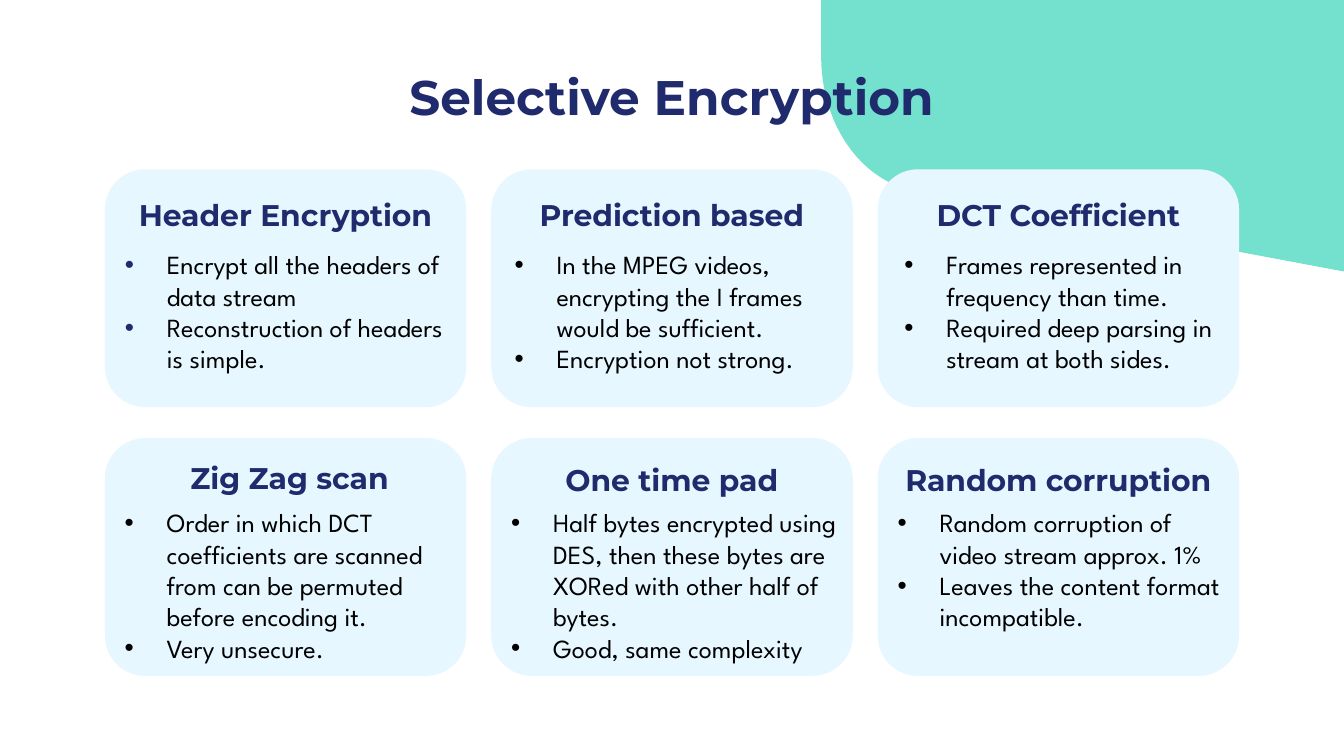
from dataclasses import dataclass

from lxml.etree import SubElement
from pptx import Presentation
from pptx.dml.color import RGBColor
from pptx.enum.shapes import MSO_SHAPE
from pptx.enum.text import MSO_ANCHOR, PP_ALIGN
from pptx.oxml.ns import qn
from pptx.util import Inches, Pt

NAVY = RGBColor(0x1F, 0x2B, 0x6C)
BLACK = RGBColor(0, 0, 0)
MINT = RGBColor(0x73, 0xE1, 0xCD)
PALE_BLUE = RGBColor(0xE7, 0xF7, 0xFF)
WHITE = RGBColor(0xFF, 0xFF, 0xFF)
HEADING_FONT = "Montserrat"
BODY_FONT = "League Spartan"

SLIDE_WIDTH = 10
SLIDE_HEIGHT = SLIDE_WIDTH * 9 / 16
MARGIN = 0.78
CARD_WIDTH, CARD_HEIGHT = 2.69, 1.77
CARD_PITCH = (SLIDE_WIDTH - 2 * MARGIN - CARD_WIDTH) / 2
HEADING_WIDTH, HEADING_HEIGHT = 2.6, 0.46
BULLET_INDENT = Pt(22.5)


@dataclass(frozen=True)
class Card:
    heading: str
    bullets: tuple[str, ...]
    bullet_color: RGBColor = BLACK
    heading_shift: tuple[float, float] = (0, 0)


@dataclass(frozen=True)
class Row:
    card_top: float
    heading_top: float
    body_top: float
    body_width: float
    body_height: float
    body_pitch: float
    cards: tuple[Card, ...]


ROWS = (
    Row(1.26, 1.37, 1.75, 2.58, 1.17, 2.9, (
        Card("Header Encryption",
             ("Encrypt all the headers of data stream",
              "Reconstruction of headers is simple."), bullet_color=NAVY),
        Card("Prediction based",
             ("In the MPEG videos, encrypting the I frames would be sufficient.",
              "Encryption not strong.")),
        Card("DCT Coefficient",
             ("Frames represented in frequency than time.",
              "Required deep parsing in stream at both sides.")),
    )),
    Row(3.26, 3.34, 3.67, 2.64, 1.28, CARD_PITCH, (
        Card("Zig Zag scan",
             ("Order in which DCT coefficients are scanned from can be "
              "permuted before encoding it.",
              "Very unsecure."), heading_shift=(0.03, -0.02)),
        Card("One time pad",
             ("Half bytes encrypted using DES, then these bytes are XORed "
              "with other half of bytes.",
              "Good, same complexity")),
        Card("Random corruption",
             ("Random corruption of video stream approx. 1%",
              "Leaves the content format incompatible.")),
    )),
)


def paint(shape, color: RGBColor) -> None:
    shape.shadow.inherit = False
    shape.fill.solid()
    shape.fill.fore_color.rgb = color
    shape.line.fill.background()


def add_corner(slide) -> None:
    """Draw the mint corner, its rounded part sampled from a Bézier curve."""
    controls = ((6.11, 0.42), (6.11, 0.92), (6.4, 1.34), (6.8, 1.42))
    steps = 24
    curve = []
    for step in range(steps + 1):
        t = step / steps
        weights = ((1 - t) ** 3, 3 * t * (1 - t) ** 2, 3 * t * t * (1 - t), t ** 3)
        curve.append(tuple(
            Inches(sum(weight * point[axis] for weight, point in zip(weights, controls)))
            for axis in (0, 1)))
    builder = slide.shapes.build_freeform(Inches(SLIDE_WIDTH), Inches(0))
    builder.add_line_segments(
        [(Inches(6.11), Inches(0)), *curve, (Inches(SLIDE_WIDTH), Inches(2.02))],
        close=True)
    paint(builder.convert_to_shape(), MINT)


def add_text_frame(slide, left: float, top: float, width: float, height: float):
    box = slide.shapes.add_textbox(Inches(left), Inches(top), Inches(width), Inches(height))
    frame = box.text_frame
    frame.word_wrap = True
    frame.margin_left = frame.margin_right = Inches(0.1)
    frame.margin_top = frame.margin_bottom = Inches(0.1)
    return frame


def style(paragraph, font_name: str, size: float, color: RGBColor, bold: bool) -> None:
    for run in paragraph.runs:
        run.font.name = font_name
        run.font.size = Pt(size)
        run.font.color.rgb = color
        run.font.bold = bold


def add_heading(slide, text: str, left: float, top: float, width: float,
                height: float, size: float) -> None:
    frame = add_text_frame(slide, left, top, width, height)
    frame.vertical_anchor = MSO_ANCHOR.MIDDLE
    frame.text = text
    paragraph = frame.paragraphs[0]
    paragraph.alignment = PP_ALIGN.CENTER
    style(paragraph, HEADING_FONT, size, NAVY, True)


def add_bullet(paragraph, color: RGBColor) -> None:
    properties = paragraph._p.get_or_add_pPr()
    properties.set("marL", str(BULLET_INDENT))
    properties.set("indent", str(-BULLET_INDENT))
    bullet_color = SubElement(properties, qn("a:buClr"))
    SubElement(bullet_color, qn("a:srgbClr"), val=str(color))
    SubElement(properties, qn("a:buFont"), typeface="Arial")
    SubElement(properties, qn("a:buChar"), char="•")


def add_body(slide, card: Card, row: Row, column: int) -> None:
    frame = add_text_frame(slide, MARGIN + 0.05 + column * row.body_pitch,
                           row.body_top, row.body_width, row.body_height)
    frame.vertical_anchor = MSO_ANCHOR.TOP
    frame.text = "\n".join(card.bullets)
    for paragraph in frame.paragraphs:
        add_bullet(paragraph, card.bullet_color)
        style(paragraph, BODY_FONT, 14, BLACK, False)


def add_card(slide, card: Card, row: Row, column: int) -> None:
    left = MARGIN + column * CARD_PITCH
    panel = slide.shapes.add_shape(
        MSO_SHAPE.ROUNDED_RECTANGLE, Inches(left), Inches(row.card_top),
        Inches(CARD_WIDTH), Inches(CARD_HEIGHT))
    panel.adjustments[0] = 0.17
    paint(panel, PALE_BLUE)
    shift_x, shift_y = card.heading_shift
    add_heading(slide, card.heading, left + (CARD_WIDTH - HEADING_WIDTH) / 2 + shift_x,
                row.heading_top + shift_y, HEADING_WIDTH, HEADING_HEIGHT, 16)
    add_body(slide, card, row, column)


def main() -> None:
    presentation = Presentation()
    presentation.slide_width = Inches(SLIDE_WIDTH)
    presentation.slide_height = Inches(SLIDE_HEIGHT)
    slide = presentation.slides.add_slide(presentation.slide_layouts[6])
    slide.background.fill.solid()
    slide.background.fill.fore_color.rgb = WHITE
    add_corner(slide)
    add_heading(slide, "Selective Encryption", MARGIN, 0.4,
                SLIDE_WIDTH - 2 * MARGIN, 0.63, 26)
    for row in ROWS:
        for column, card in enumerate(row.cards):
            add_card(slide, card, row, column)
    presentation.save("out.pptx")


if __name__ == "__main__":
    main()
